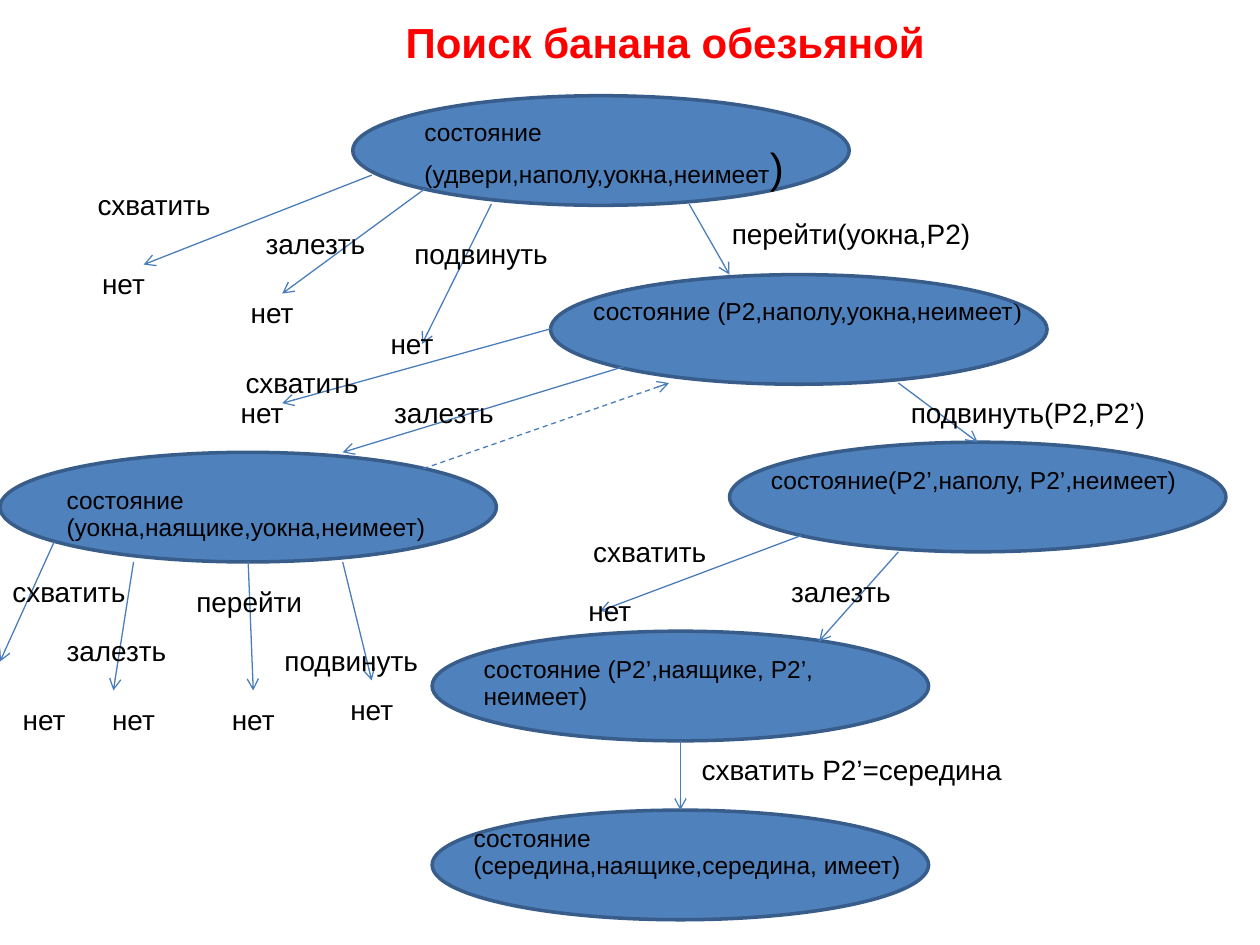
"""Build the slide with the search tree of the monkey and banana problem."""
from dataclasses import dataclass

from lxml import etree
from pptx import Presentation
from pptx.dml.color import RGBColor
from pptx.enum.dml import MSO_LINE
from pptx.enum.shapes import MSO_CONNECTOR, MSO_SHAPE
from pptx.enum.text import MSO_ANCHOR, MSO_AUTO_SIZE, PP_ALIGN
from pptx.oxml.ns import qn
from pptx.util import Inches, Pt

ELLIPSE = MSO_SHAPE.OVAL
STRAIGHT = MSO_CONNECTOR.STRAIGHT
DASH = MSO_LINE.DASH
TOP = MSO_ANCHOR.TOP
FIT = MSO_AUTO_SIZE.SHAPE_TO_FIT_TEXT
LEFT, CENTER, RIGHT = PP_ALIGN.LEFT, PP_ALIGN.CENTER, PP_ALIGN.RIGHT

COLORS = {
    "title": "FF0000",
    "text": "000000",
    "state": "4F81BD",
    "outline": "385D8A",
    "arrow": "4A7EBB",
}
STATE_WIDTH, STATE_HEIGHT = 3.94, 0.87
LABEL_HEIGHT = 0.34
FAIL_WIDTH = 1.1
TOP_SITE = 0


@dataclass(frozen=True)
class State:
    left: float
    top: float
    text: str
    text_at: tuple[float, float, float, float]
    closing: str = ""
    closing_size: float = 14
    closing_font: str = "Arial"


@dataclass(frozen=True)
class Action:
    text: str
    left: float
    top: float
    width: float
    align: PP_ALIGN = LEFT


@dataclass(frozen=True)
class Move:
    start: tuple[float, float]
    end: tuple[float, float]
    dashed: bool = False
    target: str = ""


STATES = {
    "door": State(2.8, 0.76, "состояние (удвери,наполу,уокна,неимеет",
                  (3.27, 0.91, 3.31, 0.67), ")", closing_size=24),
    "window": State(4.37, 2.18, "состояние (Р2,наполу,уокна,неимеет",
                    (4.61, 2.33, 3.62, 0.52), ")", closing_font="Times New Roman"),
    "pushed": State(5.79, 3.51, "состояние(Р2’,наполу, Р2’,неимеет)",
                    (6.02, 3.67, 3.62, 0.31)),
    "on_box": State(0, 3.59, "состояние (уокна,наящике,уокна,неимеет)",
                    (0.43, 3.83, 3.31, 0.52)),
    "climbed": State(3.43, 5.01, "состояние (Р2’,наящике, Р2’, неимеет)",
                     (3.74, 5.17, 3.62, 0.52)),
    "goal": State(3.43, 6.43, "состояние (середина,наящике,середина, имеет)",
                  (3.66, 6.51, 3.62, 0.52)),
}

MOVES = [
    Move((2.95, 1.39), (1.14, 2.1)),
    Move((3.37, 1.5), (2.24, 2.33)),
    Move((3.9, 1.62), (3.35, 2.73)),
    Move((5.47, 1.62), (5.79, 2.18)),
    Move((4.37, 2.61), (2.24, 3.2)),
    Move((4.95, 2.91), (2.72, 3.59)),
    Move((3.36, 3.72), (5.31, 3.04), dashed=True),
    Move((7.13, 3.04), (7.76, 3.51), target="pushed"),
    Move((6.36, 4.25), (4.76, 4.85)),
    Move((7.13, 4.38), (6.5, 5.09)),
    Move((5.4, 5.88), (5.4, 6.43), target="goal"),
    Move((0.43, 4.3), (0, 5.25)),
    Move((1.06, 4.46), (0.9, 5.48)),
    Move((1.97, 4.46), (2.01, 5.48)),
    Move((2.72, 4.46), (2.95, 5.4)),
]

ACTIONS = [
    Action("схватить", 0, 1.47, 1.77, RIGHT),
    Action("залезть", 2.01, 1.78, 1.18),
    Action("подвинуть", 3.19, 1.86, 1.57),
    Action("перейти(уокна,Р2)", 5.71, 1.7, 3.7),
    Action("схватить", 1.85, 2.88, 2.05),
    Action("залезть", 3.03, 3.12, 1.42),
    Action("подвинуть(Р2,Р2’)", 7.13, 3.12, 2.68),
    Action("схватить", 0, 4.54, 1.3),
    Action("залезть", 0.43, 5.01, 1.42),
    Action("перейти", 1.46, 4.62, 1.18),
    Action("подвинуть", 2.16, 5.09, 1.5),
    Action("схватить Р2’=середина", 5.47, 5.95, 3.7),
    Action("схватить", 4.61, 4.22, 1.81),
    Action("залезть", 6.18, 4.54, 1.89),
]

FAILS = [
    (0.43, 2.1), (1.61, 2.33), (2.72, 2.57), (1.53, 3.12), (4.29, 4.69),
    (2.4, 5.48), (1.46, 5.56), (0.51, 5.56), (-0.2, 5.56),
]


def rgb(name: str) -> RGBColor:
    return RGBColor.from_string(COLORS[name])


def add_run(paragraph, text: str, *, size: float, font: str = "Arial",
            color: str = "text", bold: bool = False) -> None:
    run = paragraph.add_run()
    run.text = text
    run.font.size = Pt(size)
    run.font.name = font
    run.font.bold = bold
    run.font.color.rgb = rgb(color)


def write(box, text: str, *, size: float, spacing: float, align: PP_ALIGN = LEFT,
          color: str = "text", bold: bool = False):
    frame = box.text_frame
    frame.word_wrap = True
    frame.auto_size = FIT
    frame.vertical_anchor = TOP
    paragraph = frame.paragraphs[0]
    paragraph.alignment = align
    paragraph.line_spacing = 0.9
    paragraph.space_before = Pt(spacing)
    add_run(paragraph, text, size=size, color=color, bold=bold)
    return paragraph


def add_title(slide, text: str) -> None:
    title = slide.shapes.title
    title.left, title.top = Inches(0.83), Inches(0.13)
    title.width, title.height = Inches(8.9), Inches(0.46)
    write(title, text, size=24, spacing=6, align=CENTER, color="title", bold=True)


def add_state(slide, state: State):
    oval = slide.shapes.add_shape(ELLIPSE, Inches(state.left), Inches(state.top),
                                  Inches(STATE_WIDTH), Inches(STATE_HEIGHT))
    oval.shadow.inherit = False
    oval.fill.solid()
    oval.fill.fore_color.rgb = rgb("state")
    oval.line.color.rgb = rgb("outline")
    oval.line.width = Pt(2)
    return oval


def add_state_text(slide, state: State) -> None:
    box = slide.shapes.add_textbox(*map(Inches, state.text_at))
    paragraph = write(box, state.text, size=14, spacing=state.closing_size / 4)
    if state.closing:
        add_run(paragraph, state.closing, size=state.closing_size, font=state.closing_font)


def add_move(slide, move: Move, ovals: dict) -> None:
    arrow = slide.shapes.add_connector(STRAIGHT, *map(Inches, move.start + move.end))
    if move.target:
        arrow.end_connect(ovals[move.target], TOP_SITE)
    arrow.line.color.rgb = rgb("arrow")
    arrow.line.width = Pt(0.75)
    if move.dashed:
        arrow.line.dash_style = DASH
    etree.SubElement(arrow.line._get_or_add_ln(), qn("a:tailEnd"), type="arrow")
    etree.SubElement(arrow._element.spPr, qn("a:effectLst"))


def add_action(slide, action: Action) -> None:
    box = slide.shapes.add_textbox(Inches(action.left), Inches(action.top),
                                   Inches(action.width), Inches(LABEL_HEIGHT))
    write(box, action.text, size=16, spacing=4, align=action.align)


def main() -> None:
    deck = Presentation()
    deck.slide_width, deck.slide_height = Inches(10), Inches(7.5)
    slide = deck.slides.add_slide(deck.slide_layouts[5])
    add_title(slide, "Поиск банана обезьяной")
    ovals = {name: add_state(slide, state) for name, state in STATES.items()}
    for move in MOVES:
        add_move(slide, move, ovals)
    for state in STATES.values():
        add_state_text(slide, state)
    fails = [Action("нет", left, top, FAIL_WIDTH, CENTER) for left, top in FAILS]
    for action in ACTIONS + fails:
        add_action(slide, action)
    deck.save("out.pptx")


if __name__ == "__main__":
    main()
